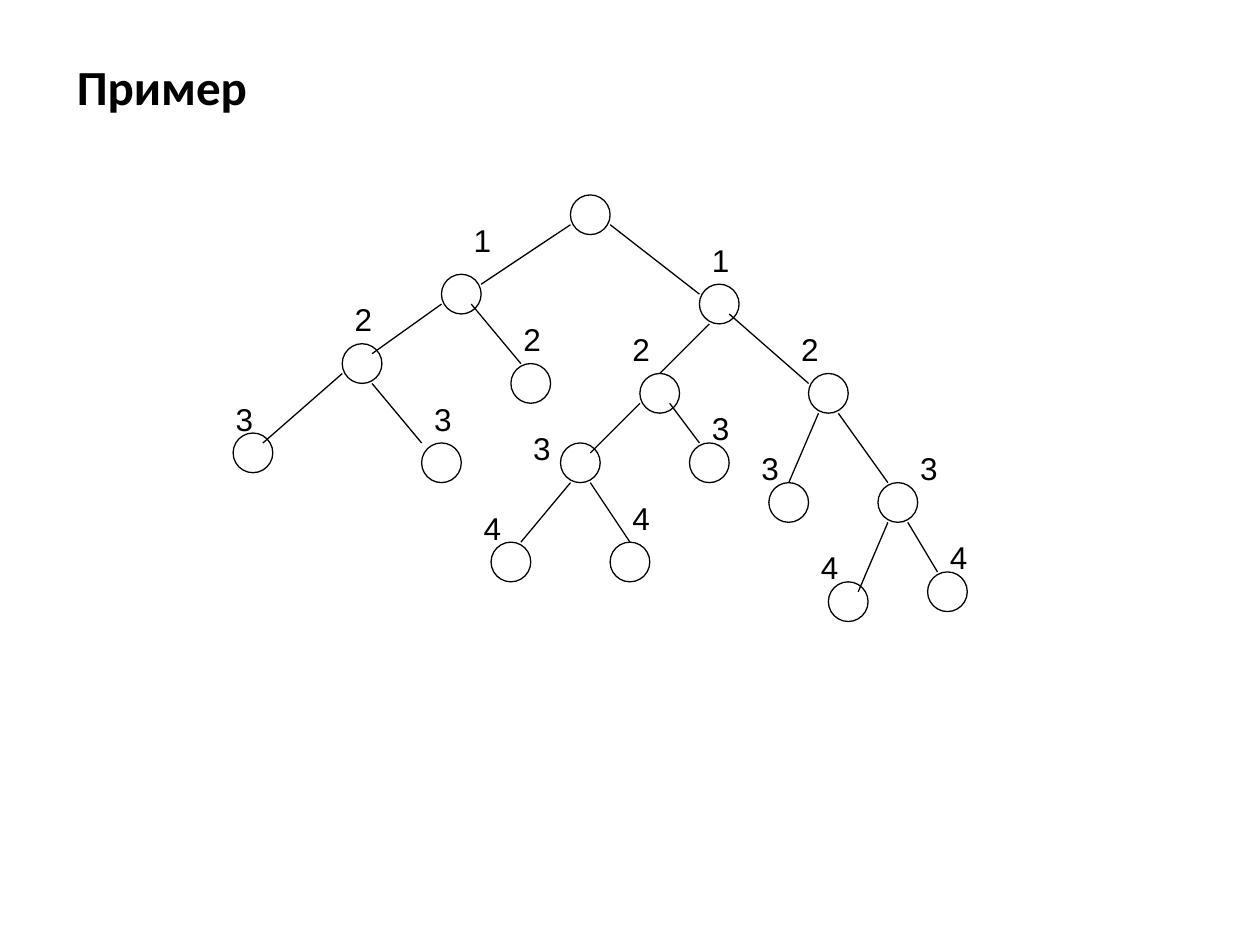
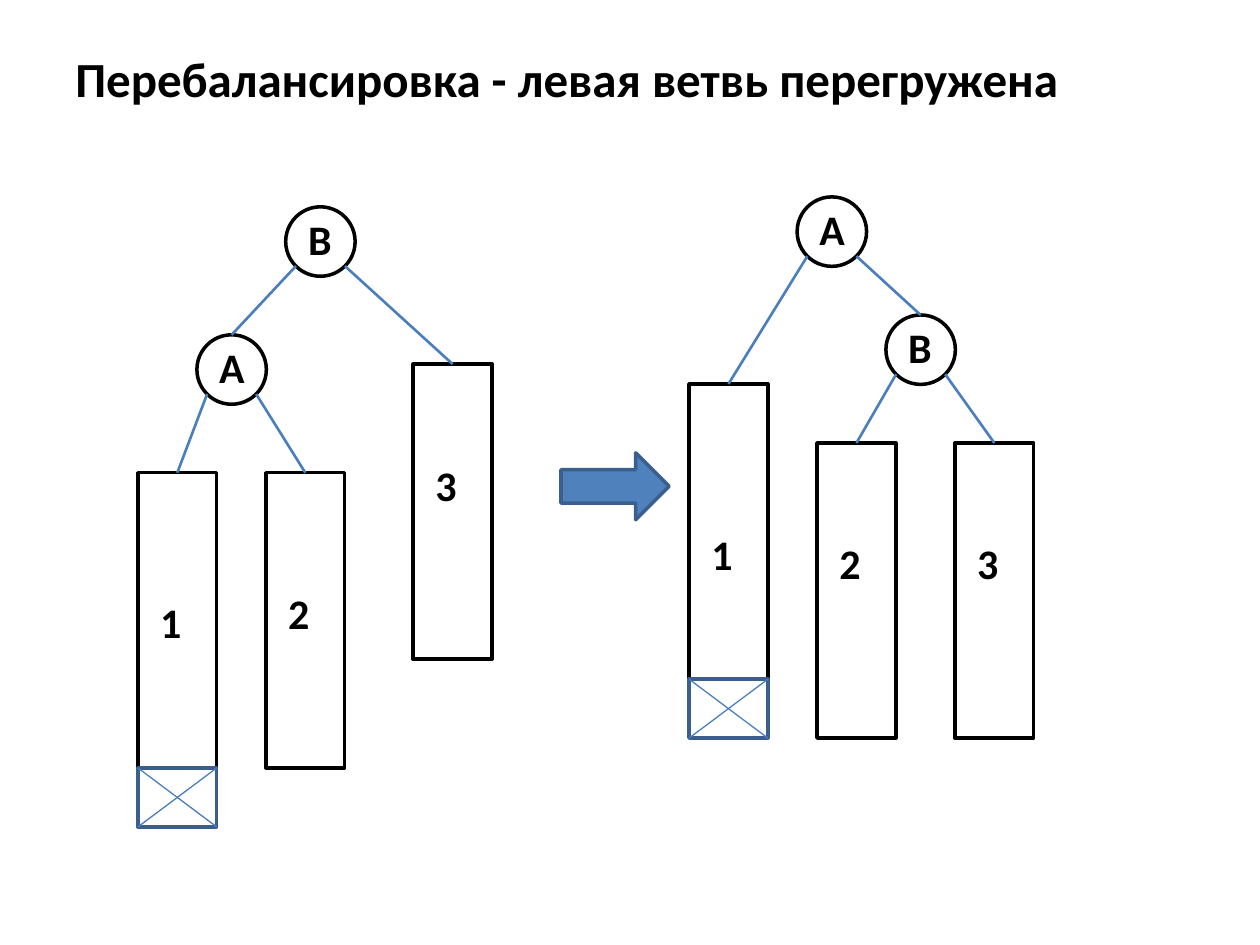
from dataclasses import dataclass
from math import sqrt
from typing import NamedTuple

from lxml import etree
from pptx import Presentation
from pptx import util as u
from pptx.dml.color import RGBColor
from pptx.enum import shapes, text
from pptx.oxml.ns import qn


@dataclass(frozen=True)
class Theme:
    ink: RGBColor = RGBColor(0, 0, 0)
    paper: RGBColor = RGBColor(255, 255, 255)
    accent: RGBColor = RGBColor(0x4F, 0x81, 0xBD)
    accent_dark: RGBColor = RGBColor(0x3A, 0x5F, 0x8C)
    accent_line: RGBColor = RGBColor(0x4B, 0x7E, 0xBC)
    heading_font: str = "Calibri"
    level_font: str = "Arial"
    title_size: int = 28
    name_size: int = 24
    level_size: int = 18
    thin: float = 0.75
    medium: float = 1.5
    thick: float = 2


THEME = Theme()


class Point(NamedTuple):
    x: float
    y: float


class Node(NamedTuple):
    """A tree node: its corner, and the edge and level label that lead to it."""
    corner: Point
    start: Point
    end: Point
    label: Point
    level: int


class Circle(NamedTuple):
    """A named tree node; left and right are keys of its children."""
    corner: Point
    left: str
    right: str


class Bar(NamedTuple):
    """A subtree; drop is how far its label lies below its top."""
    corner: Point
    drop: float
    has_extra: bool = False


NODE_SIZE = 0.8
CIRCLE_SIZE = 1.4
BAR_WIDTH, BAR_HEIGHT, EXTRA_HEIGHT = 1.59, 5.95, 1.19
NAME_INDENT = 0.2

ROOT = Point(11.5, 3.93)
NODES = [
    Node(Point(8.9, 5.53), Point(11.5, 4.53), Point(9.7, 5.73), Point(9.3, 4.33), 1),
    Node(Point(14.1, 5.73), Point(12.3, 4.53), Point(14.1, 5.93), Point(14.1, 4.73), 1),
    Node(Point(6.9, 6.93), Point(8.9, 6.13), Point(7.5, 7.13), Point(6.9, 5.93), 2),
    Node(Point(10.3, 7.33), Point(9.5, 6.13), Point(10.5, 7.33), Point(10.3, 6.33), 2),
    Node(Point(12.9, 7.53), Point(14.3, 6.53), Point(13.3, 7.53), Point(12.5, 6.53), 2),
    Node(Point(16.3, 7.53), Point(14.7, 6.33), Point(16.3, 7.73), Point(15.9, 6.53), 2),
    Node(Point(4.7, 8.73), Point(6.9, 7.53), Point(5.3, 8.93), Point(4.5, 7.93), 3),
    Node(Point(8.5, 8.93), Point(7.5, 7.73), Point(8.5, 8.93), Point(8.5, 7.93), 3),
    Node(Point(11.3, 8.93), Point(12.9, 8.13), Point(11.9, 9.13), Point(10.5, 8.53), 3),
    Node(Point(13.9, 8.93), Point(13.5, 8.13), Point(14.1, 8.93), Point(14.1, 8.13), 3),
    Node(Point(15.5, 9.73), Point(16.5, 8.33), Point(15.9, 9.73), Point(15.1, 8.93), 3),
    Node(Point(17.7, 9.73), Point(16.9, 8.33), Point(17.9, 9.73), Point(18.3, 8.93), 3),
    Node(Point(9.9, 10.93), Point(11.5, 9.73), Point(10.5, 10.93), Point(9.5, 10.13), 4),
    Node(Point(12.3, 10.93), Point(11.9, 9.73), Point(12.7, 10.93), Point(12.5, 9.93), 4),
    Node(Point(16.7, 11.73), Point(17.9, 10.53), Point(17.3, 11.93), Point(16.3, 10.93), 4),
    Node(Point(18.7, 11.53), Point(18.3, 10.53), Point(18.9, 11.53), Point(18.9, 10.73), 4),
]

BEFORE = {
    "B": Circle(Point(5.76, 4.17), "A", "3"),
    "A": Circle(Point(3.97, 6.75), "1", "2"),
    "1": Bar(Point(2.78, 9.53), 2.38, has_extra=True),
    "2": Bar(Point(5.36, 9.53), 2.18),
    "3": Bar(Point(8.33, 7.34), 1.79),
}
AFTER = {
    "A": Circle(Point(16.07, 3.97), "1", "B"),
    "B": Circle(Point(17.86, 6.35), "2", "3"),
    "1": Bar(Point(13.89, 7.74), 2.78, has_extra=True),
    "2": Bar(Point(16.47, 8.93), 1.79),
    "3": Bar(Point(19.25, 8.93), 1.79),
}


def add_text(page, words: str, corner: Point, width: float, height: float,
             font: str, size: int, bold: bool = False):
    box = page.shapes.add_textbox(u.Cm(corner.x), u.Cm(corner.y), u.Cm(width), u.Cm(height))
    para = box.text_frame.paragraphs[0]
    para.text = words
    para.font.name = font
    para.font.size = u.Pt(size)
    para.font.bold = bold
    para.font.color.rgb = THEME.ink
    return box


def add_label(page, words: str, corner: Point, width: float, height: float,
              font: str, size: int, bold: bool = False) -> None:
    """Add text in a box that fits it without wrapping."""
    frame = add_text(page, words, corner, width, height, font, size, bold).text_frame
    frame.word_wrap = False
    frame.auto_size = text.MSO_AUTO_SIZE.SHAPE_TO_FIT_TEXT


def add_title(page, words: str, corner: Point, height: float) -> None:
    frame = add_text(page, words, corner, 22.86, height,
                     THEME.heading_font, THEME.title_size, bold=True).text_frame
    frame.word_wrap = True
    frame.vertical_anchor = text.MSO_ANCHOR.MIDDLE


def add_outline(page, kind: shapes.MSO_SHAPE, corner: Point, width: float, height: float,
                weight: float, color: RGBColor = THEME.ink, fill: RGBColor | None = None):
    shape = page.shapes.add_shape(kind, u.Cm(corner.x), u.Cm(corner.y),
                                  u.Cm(width), u.Cm(height))
    shape.shadow.inherit = False
    if fill is None:
        shape.fill.background()
    else:
        shape.fill.solid()
        shape.fill.fore_color.rgb = fill
    shape.line.color.rgb = color
    shape.line.width = u.Pt(weight)
    return shape


def add_line(page, start: Point, end: Point, weight: float, color: RGBColor):
    line = page.shapes.add_connector(shapes.MSO_CONNECTOR.STRAIGHT, u.Cm(start.x),
                                     u.Cm(start.y), u.Cm(end.x), u.Cm(end.y))
    line.line.color.rgb = color
    line.line.width = u.Pt(weight)
    etree.SubElement(line._element.spPr, qn("a:effectLst"))
    return line


def add_extra(page, corner: Point) -> None:
    """Add the crossed box that hangs below an overgrown subtree."""
    add_outline(page, shapes.MSO_SHAPE.RECTANGLE, corner, BAR_WIDTH, EXTRA_HEIGHT,
                THEME.thick, THEME.accent_dark)
    left, right = corner.x, corner.x + BAR_WIDTH
    bottom = corner.y + EXTRA_HEIGHT
    for near, far in ((left, right), (right, left)):
        add_line(page, Point(near, corner.y), Point(far, bottom),
                 THEME.thin, THEME.accent_line)


def add_tree(page, tree: dict[str, Circle | Bar]) -> None:
    drawn = {}
    for name, item in tree.items():
        x, y = item.corner
        if isinstance(item, Circle):
            drawn[name] = add_outline(page, shapes.MSO_SHAPE.OVAL, item.corner,
                                      CIRCLE_SIZE, CIRCLE_SIZE, THEME.thick)
            width, drop = 1.02, 0
        else:
            drawn[name] = add_outline(page, shapes.MSO_SHAPE.RECTANGLE, item.corner,
                                      BAR_WIDTH, BAR_HEIGHT, THEME.thick)
            width, drop = 0.94, item.drop
            if item.has_extra:
                add_extra(page, Point(x, y + BAR_HEIGHT))
        add_label(page, name, Point(x + NAME_INDENT, y + drop), width, 1.28,
                  THEME.heading_font, THEME.name_size, bold=True)

    radius = CIRCLE_SIZE / 2
    reach = radius / sqrt(2)
    for item in tree.values():
        if isinstance(item, Circle):
            for child, side in ((item.left, -1), (item.right, 1)):
                start = Point(item.corner.x + radius + side * reach,
                              item.corner.y + radius + reach)
                line = add_line(page, start, tree[child].corner,
                                THEME.medium, THEME.accent_line)
                line.end_connect(drawn[child], 0)


def build_example(page) -> None:
    add_title(page, "Пример", Point(1.3, 0.53), 2.39)
    for corner in [ROOT, *(node.corner for node in NODES)]:
        add_outline(page, shapes.MSO_SHAPE.OVAL, corner, NODE_SIZE, NODE_SIZE,
                    THEME.thin, fill=THEME.paper)
    for node in NODES:
        add_line(page, node.start, node.end, THEME.thin, THEME.ink)
        add_label(page, str(node.level), node.label, 0.86, 1.02,
                  THEME.level_font, THEME.level_size)


def build_rebalancing(page) -> None:
    add_title(page, "Перебалансировка - левая ветвь перегружена", Point(1.27, 0.76), 1.63)
    for tree in (BEFORE, AFTER):
        add_tree(page, tree)
    add_outline(page, shapes.MSO_SHAPE.RIGHT_ARROW, Point(11.31, 9.13), 2.18, 1.35,
                THEME.thick, THEME.accent_dark, THEME.accent)


def main() -> None:
    deck = Presentation()
    deck.slide_width, deck.slide_height = u.Cm(25.4), u.Cm(19.05)
    for build in (build_example, build_rebalancing):
        build(deck.slides.add_slide(deck.slide_layouts[6]))
    deck.save("out.pptx")


if __name__ == "__main__":
    main()
